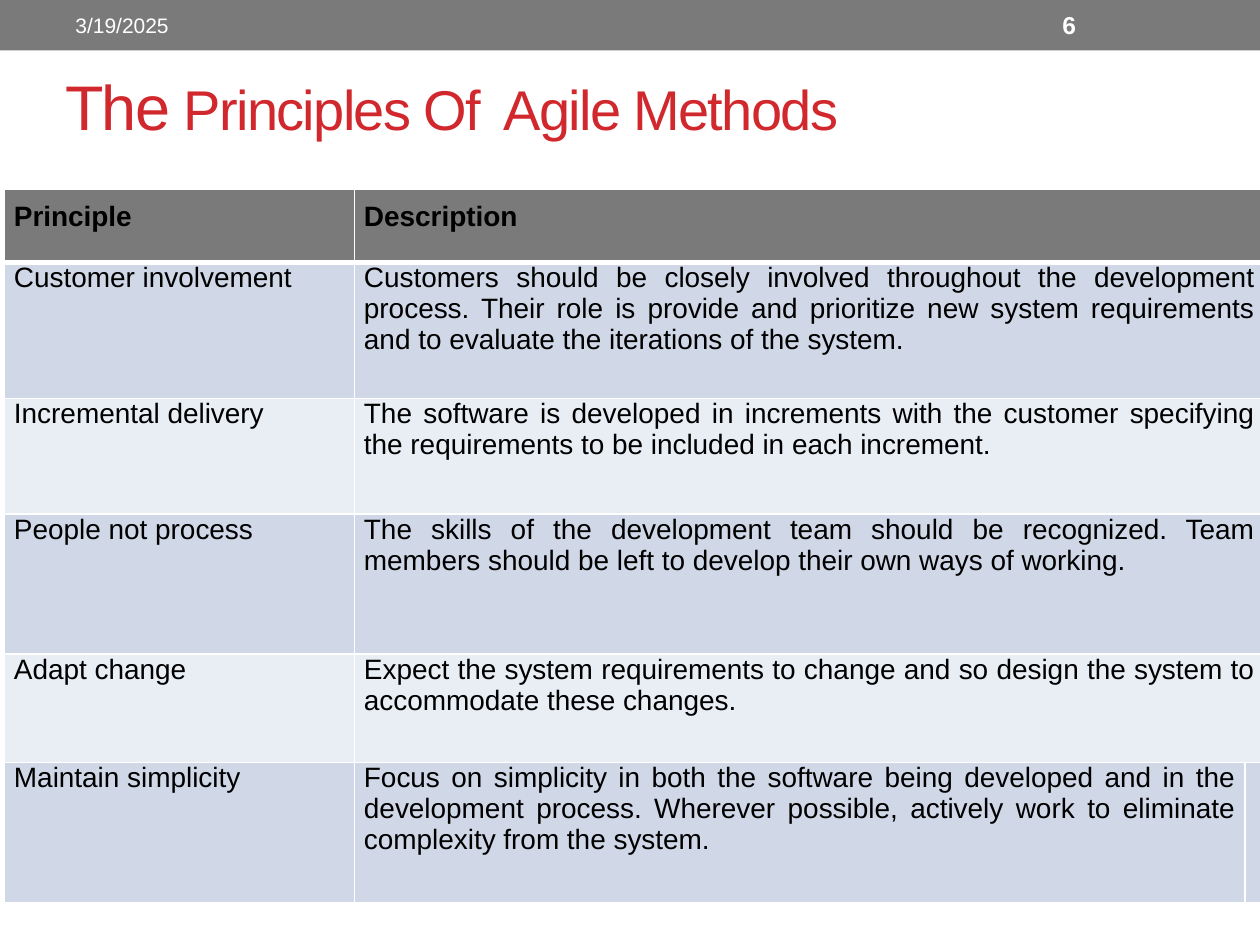
from lxml.etree import SubElement
from pptx import Presentation
from pptx.dml.color import RGBColor
from pptx.enum.shapes import MSO_SHAPE as Shape
from pptx.enum.text import MSO_ANCHOR as Anchor, MSO_AUTO_SIZE as AutoSize, PP_ALIGN as Align
from pptx.oxml.ns import qn
from pptx.util import Pt

GREY, WHITE, BLACK, RED = "7A7A7A", "FFFFFF", "000000", "D1282E"
BANDS = ["D0D8E8", "E9EDF4"]
COLUMNS = [200, 509, 11]
ROWS = [42, 77.8, 66, 80, 62, 80]
PRINCIPLES = [
    ("Principle", "Description"),
    ("Customer involvement ",
     "Customers should be closely involved throughout the development process. Their role is "
     "provide and prioritize new system requirements and to evaluate the iterations of the system."),
    ("Incremental delivery",
     "The software is developed in increments with the customer specifying the requirements "
     "to be included in each increment."),
    ("People not process",
     "The skills of the development team should be recognized. Team members should be left "
     "to develop their own ways of working."),
    ("Adapt change",
     "Expect the system requirements to change and so design the system to accommodate "
     "these changes."),
    ("Maintain simplicity",
     "Focus on simplicity in both the software being developed and in the development process. "
     "Wherever possible, actively work to eliminate complexity from the system."),
]


def color(value):
    return RGBColor.from_string(value)


def paint(shape, value):
    shape.fill.solid()
    shape.fill.fore_color.rgb = color(value)


def add_span(para, text, size, value, bold=False):
    span = para.add_run()
    span.text = text
    font = span.font
    font.name, font.size, font.bold = "Arial", Pt(size), bold
    font.color.rgb = color(value)
    return span


def add_label(page, left, top, width, height, text, size, bold=False):
    box = page.shapes.add_textbox(Pt(left), Pt(top), Pt(width), Pt(height))
    frame = box.text_frame
    frame.word_wrap = True
    frame.vertical_anchor = Anchor.MIDDLE
    add_span(frame.paragraphs[0], text, size, WHITE, bold)


def add_header(page, left, top, width, height):
    bar = page.shapes.add_shape(Shape.RECTANGLE, Pt(left), Pt(top), Pt(width), Pt(height))
    bar.shadow.inherit = False
    paint(bar, GREY)
    bar.line.fill.background()
    # Date and page number
    label_top, label_height = top + 1.4, height - 2.8
    add_label(page, left + 36, label_top, 228, label_height, "3/19/2025", 12)
    add_label(page, left + 600, label_top, 84, label_height, "6", 14, bold=True)


def add_title(page, left, top, width, height):
    title = page.shapes.title
    title.left, title.top, title.width, title.height = Pt(left), Pt(top), Pt(width), Pt(height)
    frame = title.text_frame
    frame.auto_size = AutoSize.NONE
    frame.vertical_anchor = Anchor.MIDDLE
    para = frame.paragraphs[0]
    para.alignment = Align.LEFT
    for text, size in [("The", 36), (" Principles Of  Agile Methods", 32)]:
        span = add_span(para, text, size, RED)
        span.font._element.set("spc", "-100")


def add_borders(cell, top, bottom):
    properties = cell._tc.get_or_add_tcPr()
    widths = {"a:lnL": 1, "a:lnR": 1, "a:lnT": top, "a:lnB": bottom}
    for index, (side, width) in enumerate(widths.items()):
        line = properties.makeelement(qn(side), {"w": str(Pt(width))})
        properties.insert(index, line)
        fill = SubElement(line, qn("a:solidFill"))
        SubElement(fill, qn("a:srgbClr"), val=WHITE)


def add_table(page, left, top):
    frame = page.shapes.add_table(len(ROWS), len(COLUMNS), Pt(left), Pt(top),
                                  Pt(sum(COLUMNS)), Pt(sum(ROWS)))
    table = frame.table
    for column, width in zip(table.columns, COLUMNS):
        column.width = Pt(width)
    for index, (row, height) in enumerate(zip(table.rows, ROWS)):
        row.height = Pt(height)
        is_head = index == 0
        for cell in row.cells:
            paint(cell, GREY if is_head else BANDS[(index - 1) % 2])
            add_borders(cell, 3 if index == 1 else 1, 3 if is_head else 1)
            cell.margin_left = cell.margin_right = Pt(0)
        for cell, text in zip(row.cells, PRINCIPLES[index]):
            cell.margin_left = cell.margin_right = Pt(5.5)
            cell.margin_top, cell.margin_bottom = Pt(7 if is_head else 0), Pt(7)
            para = cell.text_frame.paragraphs[0]
            para.alignment = Align.JUSTIFY
            add_span(para, text, 16, BLACK, bold=is_head)
        # Descriptions reach the right edge, except in the last row
        if index < len(ROWS) - 1:
            table.cell(index, 1).merge(table.cell(index, 2))


def main():
    deck = Presentation()
    deck.slide_width, deck.slide_height = Pt(720), Pt(540)
    page = deck.slides.add_slide(deck.slide_layouts[5])
    add_header(page, 0, 0, 720, 28.8)
    add_title(page, 30, 30, 648, 60)
    add_table(page, 2.5, 108)
    deck.save("out.pptx")


if __name__ == "__main__":
    main()
